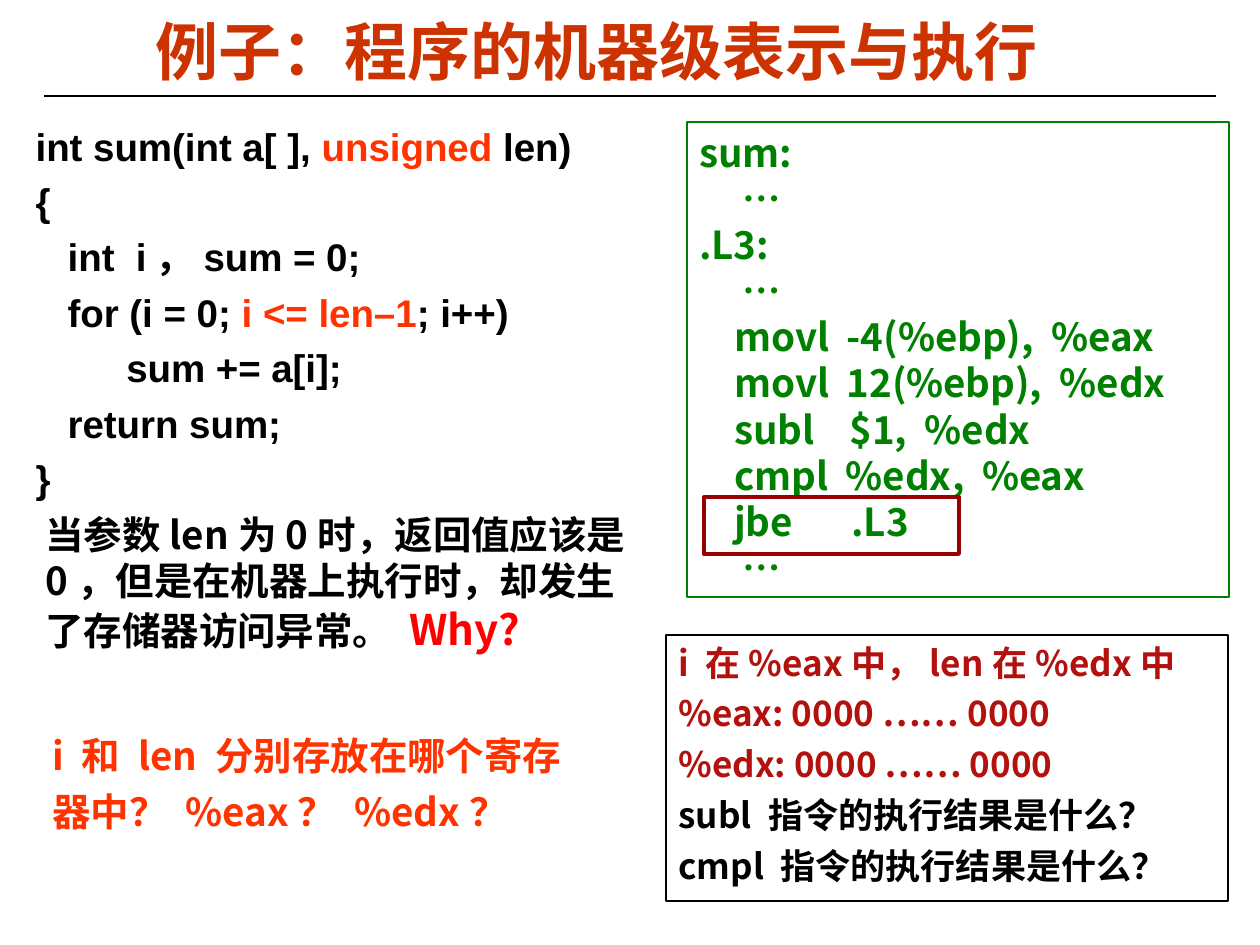
from lxml import etree
from pptx import Presentation
from pptx.dml.color import RGBColor
from pptx.enum.shapes import MSO_CONNECTOR, MSO_SHAPE
from pptx.enum.text import MSO_ANCHOR, MSO_AUTO_SIZE, PP_ALIGN
from pptx.oxml.ns import qn
from pptx.util import Emu, Pt

RECT, LINE = MSO_SHAPE.RECTANGLE, MSO_CONNECTOR.STRAIGHT
TOP, MID = MSO_ANCHOR.TOP, MSO_ANCHOR.MIDDLE
LEFT, CENTER = PP_ALIGN.LEFT, PP_ALIGN.CENTER
SCALE = 914400 / 126
SANS, CJK = "Arial", "Noto Sans CJK SC"
INK = {
    "black": "000000", "white": "FFFFFF", "title": "CC3300", "orange": "FF3300",
    "red": "FF0000", "green": "008000", "brick": "B3110D", "frame": "990000",
}

# A paragraph is a string or a list of runs: (text, colour[, size])
TITLE = ["例子：程序的机器级表示与执行"]
CODE = [
    [("int sum(int a[ ], ", "black"), ("unsigned", "orange"), (" len)", "black")],
    "{",
    "   int  i，sum = 0;",
    [("   for (i = 0; ", "black"), ("i <= len–1", "orange"), ("; i++)", "black")],
    "\t    sum += a[i];",
    "   return sum;",
    "}",
]
PUZZLE = [[
    ("当参数len为0时，返回值应该是0，但是在机器上执行时，却发生了存储器访问异常。 ", "black"),
    ("Why?", "red", 24),
]]
ASM = [
    "sum:",
    "     …",
    ".L3:",
    "     …",
    "    movl  -4(%ebp),  %eax",
    "    movl  12(%ebp),  %edx",
    "    subl    $1,  %edx",
    "    cmpl  %edx,  %eax",
    "    jbe\t   .L3",
    "     …",
]
NOTES = [
    "i 在%eax中，len在%edx中",
    "%eax: 0000 …… 0000",
    "%edx: 0000 …… 0000",
    [("subl 指令的执行结果是什么？", "black")],
    [("cmpl 指令的执行结果是什么？", "black")],
]
ASK = ["i 和 len 分别存放在哪个寄存器中？ %eax？ %edx？"]


def px(*vals):
    return [Emu(round(v * SCALE)) for v in vals]


def rgb(name):
    return RGBColor.from_string(INK[name])


def write(shape, paras, size=22, font=CJK, ink="black", align=LEFT,
          anchor=MID, lead=1.0, gap=0, hang=None):
    """Fill a shape with bold text; hang is a hanging indent in px, without bullets."""
    frame = shape.text_frame
    frame.word_wrap = True
    frame.auto_size = MSO_AUTO_SIZE.NONE
    frame.vertical_anchor = anchor
    for n, runs in enumerate(paras):
        para = frame.add_paragraph() if n else frame.paragraphs[0]
        if hang:
            props = para._p.get_or_add_pPr()
            step = px(hang)[0]
            props.set("marL", str(step))
            props.set("indent", str(-step))
            etree.SubElement(props, qn("a:buNone"))
        para.alignment = align
        para.line_spacing = lead
        para.space_before = Pt(gap if n else 0)
        for text, tint, *big in [(runs, ink)] if isinstance(runs, str) else runs:
            run = para.add_run()
            run.text = text
            face = run.font
            face.size = Pt(big[0] if big else size)
            face.bold = True
            face.color.rgb = rgb(tint)
            face.name = font
            etree.SubElement(run._r.rPr, qn("a:ea")).set("typeface", CJK)


def place(shape, *spot):
    shape.left, shape.top, shape.width, shape.height = px(*spot)
    return shape


def label(*spot):
    return slide.shapes.add_textbox(*px(*spot))


def box(*spot, line, width=0.75, fill=None):
    shape = slide.shapes.add_shape(RECT, *px(*spot))
    shape.shadow.inherit = False
    if fill:
        shape.fill.solid()
        shape.fill.fore_color.rgb = rgb(fill)
    else:
        shape.fill.background()
    shape.line.color.rgb = rgb(line)
    shape.line.width = Pt(width)
    return shape


deck = Presentation()
deck.slide_width, deck.slide_height = px(1260, 945)
slide = deck.slides.add_slide(deck.slide_layouts[1])

rule = slide.shapes.add_connector(LINE, *px(44, 96, 1216, 96))
rule.line.color.rgb = rgb("black")
rule.line.width = Pt(0.75)
etree.SubElement(rule._element.spPr, qn("a:effectLst"))

head, body = slide.placeholders
write(place(head, 29, 14, 1134, 73), TITLE, size=36, font=SANS, ink="title", align=CENTER)
write(place(body, 23, 107, 625, 377), CODE, font=SANS, anchor=TOP, lead=1.2, hang=48)
write(label(33, 505, 616, 155), PUZZLE)
write(box(687, 122, 542, 475, line="green"), ASM, ink="green")
write(box(666, 635, 562, 266, line="black", fill="white"), NOTES,
      size=20, ink="brick", anchor=TOP, gap=5)
write(label(40, 717, 556, 123), ASK, ink="orange", lead=1.2)
box(704, 497, 255, 57, line="frame", width=2.25)

deck.save("out.pptx")
